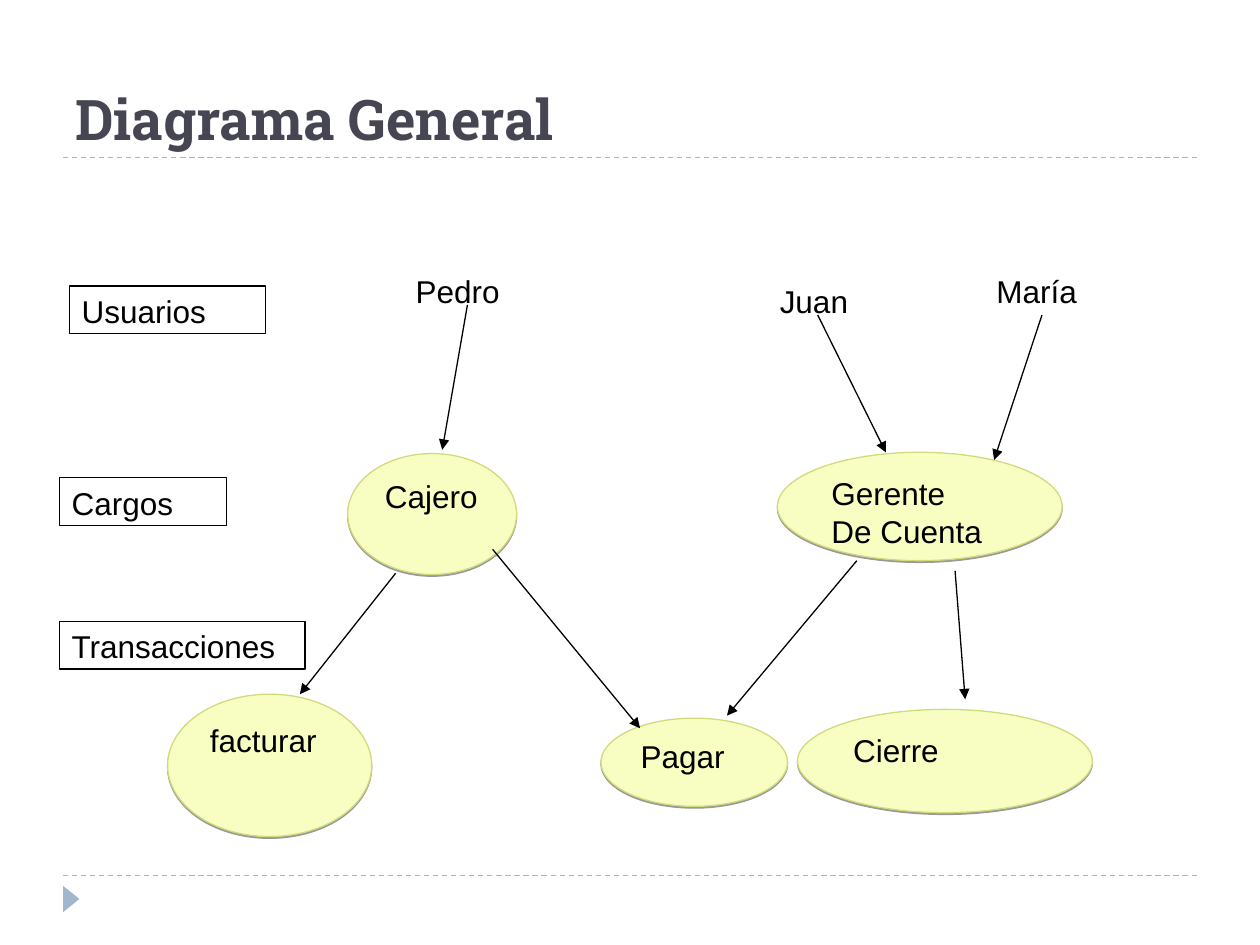
from lxml.etree import SubElement
from pptx import Presentation
from pptx.dml.color import RGBColor as Color
from pptx.enum.dml import MSO_LINE_DASH_STYLE as Dash
from pptx.enum.shapes import MSO_CONNECTOR as Link, MSO_SHAPE as Form
from pptx.enum.text import MSO_ANCHOR as Anchor, PP_ALIGN as Align
from pptx.oxml.ns import qn
from pptx.util import Inches, Pt

COLORS = {
    "title": "464653",
    "rule": "9FB8CD",
    "oval": "F8FEC2",
    "edge": "D2DA7A",
    "ink": "000000",
}


class Page:
    """Style and current slide; lengths are cells of a 10 by 7.5 grid."""

    def __init__(self, deck):
        self.shapes = deck.slides.add_slide(deck.slide_layouts[6]).shapes
        self.cell = deck.slide_width / 10

    def grid(self, *cells):
        return [round(c * self.cell) for c in cells]

    def color(self, name):
        return Color.from_string(COLORS[name])

    def words(self, shape, text, size=18, font="Arial", ink="ink",
              bold=False, anchor=Anchor.TOP, align=Align.JUSTIFY):
        frame = shape.text_frame
        frame.word_wrap = True
        frame.vertical_anchor = anchor
        frame.text = text
        for para in frame.paragraphs:
            para.alignment = align
            for run in para.runs:
                run.font.size = Pt(size)
                run.font.name = font
                run.font.bold = bold
                run.font.color.rgb = self.color(ink)

    def label(self, text, *place, **style):
        self.words(self.shapes.add_textbox(*self.grid(*place)), text, **style)

    def shape(self, form, place, fill=None, edge=None):
        shape = self.shapes.add_shape(form, *self.grid(*place))
        shape.shadow.inherit = False
        if fill:
            shape.fill.solid()
            shape.fill.fore_color.rgb = self.color(fill)
        else:
            shape.fill.background()
        if edge:
            shape.line.color.rgb = self.color(edge)
            shape.line.width = Pt(0.75)
        else:
            shape.line.fill.background()
        return shape

    def box(self, text, *place):
        self.words(self.shape(Form.RECTANGLE, place, edge="ink"), text)

    def oval(self, text, *place):
        shape = self.shape(Form.OVAL, place, "oval", "edge")
        effects = shape._element.spPr.find(qn("a:effectLst"))
        shadow = SubElement(effects, qn("a:outerShdw"), blurRad="0",
                            dist=str(Pt(1)), dir="5400000", rotWithShape="0")
        tint = SubElement(shadow, qn("a:srgbClr"), val=COLORS["ink"])
        SubElement(tint, qn("a:alpha"), val="40000")
        self.words(shape, text)

    def line(self, *ends, ink="ink"):
        line = self.shapes.add_connector(Link.STRAIGHT, *self.grid(*ends))
        line.line.color.rgb = self.color(ink)
        line.line.width = Pt(0.75)
        SubElement(line._element.spPr, qn("a:effectLst"))
        return line

    def rule(self, row):
        self.line(0.5, row, 9.5, row, ink="rule").line.dash_style = Dash.DASH

    def arrow(self, *ends):
        line = self.line(*ends)
        SubElement(line.line._get_or_add_ln(), qn("a:tailEnd"), type="triangle")


def main():
    deck = Presentation()
    deck.slide_width, deck.slide_height = Inches(10), Inches(7.5)
    page = Page(deck)

    # Frame of the slide
    for row in (6.95, 1.25):
        page.rule(row)
    mark = page.shape(Form.ISOSCELES_TRIANGLE, (0.46, 7.07, 0.21, 0.13), "rule")
    mark.rotation = 90
    page.label("Diagrama General", 0.5, 0.17, 9, 1.08, size=32,
               font="Roboto Slab", ink="title", bold=True,
               anchor=Anchor.BOTTOM, align=Align.LEFT)

    # Roles, then transactions
    for text, *place in (
        ("Cajero", 2.76, 3.6, 1.34, 0.96),
        ("Gerente\nDe Cuenta", 6.17, 3.59, 2.26, 0.86),
        ("facturar", 1.33, 5.51, 1.62, 1.13),
        ("Pagar", 4.77, 5.7, 1.48, 0.7),
        ("Cierre", 6.33, 5.63, 2.34, 0.82),
    ):
        page.oval(text, *place)

    # Users
    for name, col, row in (("Pedro", 3.2, 2.11), ("Juan", 6.09, 2.19),
                           ("María", 7.81, 2.11)):
        page.label(name, col, row, 0.95, 0.38)

    # Names of the levels
    for text, col, row, wide in (("Usuarios", 0.55, 2.27, 1.56),
                                 ("Cargos", 0.47, 3.79, 1.33),
                                 ("Transacciones", 0.47, 4.93, 1.95)):
        page.box(text, col, row, wide, 0.38)

    # Arrows from users to roles and from roles to transactions
    for ends in (
        (3.71, 2.42, 3.51, 3.57),
        (6.49, 2.5, 7.03, 3.59),
        (8.27, 2.5, 7.89, 3.65),
        (3.14, 4.55, 2.38, 5.51),
        (3.91, 4.36, 5.08, 5.78),
        (6.8, 4.45, 5.77, 5.68),
        (7.58, 4.53, 7.66, 5.55),
    ):
        page.arrow(*ends)

    deck.save("out.pptx")


if __name__ == "__main__":
    main()
